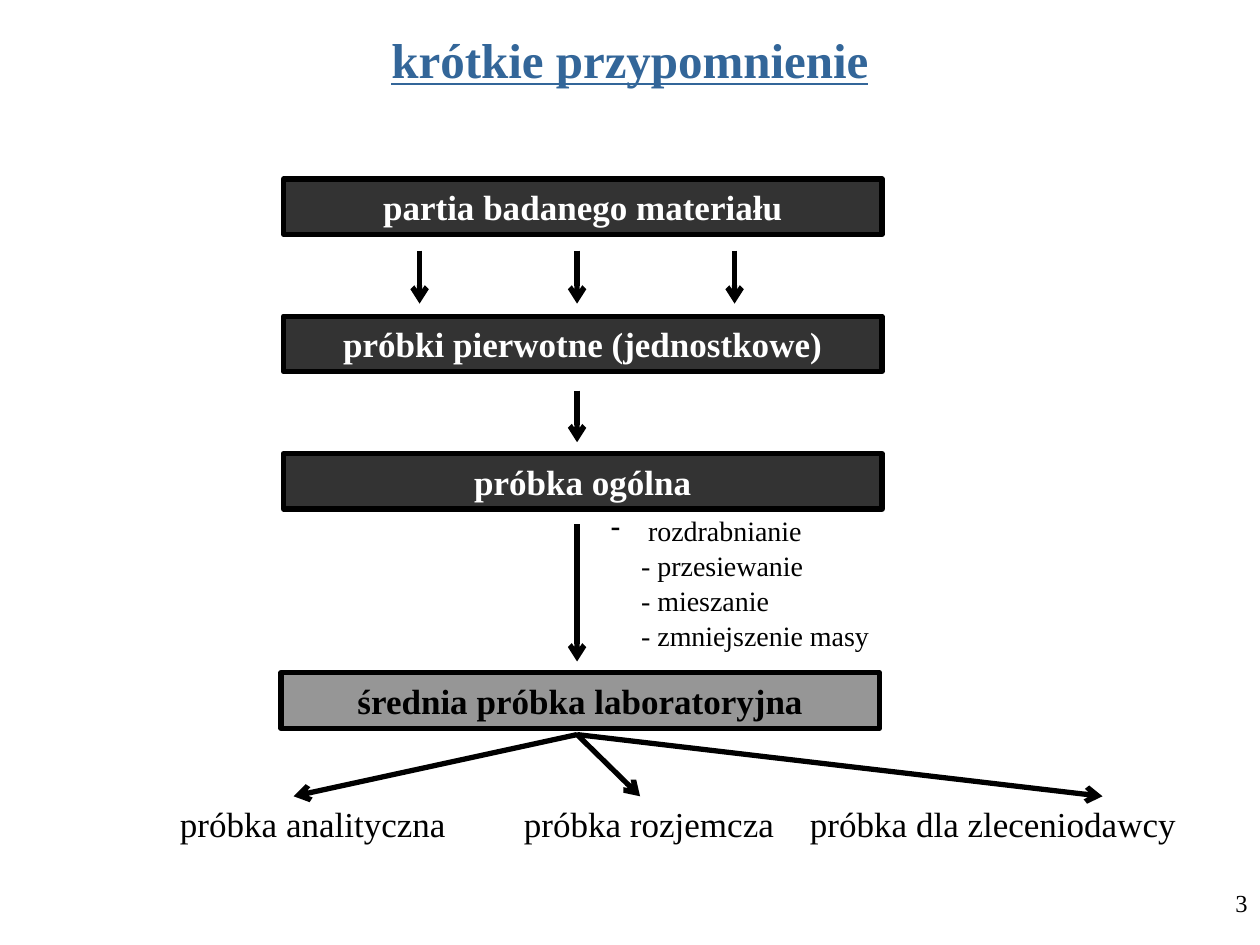
from copy import deepcopy

from pptx import Presentation
from pptx.dml.color import RGBColor
from pptx.enum.shapes import MSO_CONNECTOR, MSO_SHAPE
from pptx.enum.text import MSO_ANCHOR, PP_ALIGN
from pptx.oxml.ns import qn
from pptx.util import Inches, Pt
from lxml import etree

RECT = MSO_SHAPE.RECTANGLE
STRAIGHT = MSO_CONNECTOR.STRAIGHT
TOP, MIDDLE = MSO_ANCHOR.TOP, MSO_ANCHOR.MIDDLE
LEFT, CENTER, RIGHT = PP_ALIGN.LEFT, PP_ALIGN.CENTER, PP_ALIGN.RIGHT

COLORS = {"title": "336699", "dark": "333333", "gray": "969696",
          "black": "000000", "white": "FFFFFF"}


def rgb(name):
    return RGBColor.from_string(COLORS[name])


class Diagram:
    """Holds the style and the current slide."""
    font_name = "Times New Roman"
    line_width = Pt(3)

    def __init__(self, slide):
        self.slide = slide

    def fill_text(self, s, text, size, color="black", align=LEFT, anchor=TOP, **font):
        tf = s.text_frame
        tf.word_wrap = True
        tf.vertical_anchor = anchor
        p = tf.paragraphs[0]
        p.text = text
        p.alignment = align
        values = {"name": self.font_name, "size": Pt(size), **font}
        for r in p.runs:
            for key, value in values.items():
                setattr(r.font, key, value)
            r.font.color.rgb = rgb(color)
        # Line breaks take the format of the text around them
        for br in p._p.findall(qn("a:br")):
            br.append(deepcopy(p.runs[0]._r.rPr))
        return p

    def text(self, box, text, size, **style):
        s = self.slide.shapes.add_textbox(*map(Inches, box))
        return self.fill_text(s, text, size, **style)

    def stage(self, left, top, text, fill, color):
        s = self.slide.shapes.add_shape(
            RECT, *map(Inches, (left, top, 4.75, 0.44)))
        s.shadow.inherit = False
        s.fill.solid()
        s.fill.fore_color.rgb = rgb(fill)
        s.line.color.rgb = rgb("black")
        s.line.width = self.line_width
        self.fill_text(s, text, 20, color=color, align=CENTER, anchor=MIDDLE,
                       bold=True)

    def arrow(self, x1, y1, x2, y2):
        s = self.slide.shapes.add_connector(
            STRAIGHT, *map(Inches, (x1, y1, x2, y2)))
        s.line.color.rgb = rgb("black")
        s.line.width = self.line_width
        spPr = s._element.spPr
        etree.SubElement(spPr.find(qn("a:ln")), qn("a:tailEnd"), type="arrow")
        etree.SubElement(spPr, qn("a:effectLst"))

    def steps(self, box, lines, size):
        p = self.text(box, "\v".join(lines), size)
        p.line_spacing = 1.04
        pPr = p._p.get_or_add_pPr()
        indent = Inches(0.24)
        pPr.set("marL", str(indent))
        pPr.set("indent", str(-indent))
        etree.SubElement(pPr, qn("a:buChar"), char="-")

    def columns(self, box, labels, stops, size):
        p = self.text(box, "\t".join(labels), size)
        tabs = etree.SubElement(p._p.get_or_add_pPr(), qn("a:tabLst"))
        for stop in stops:
            etree.SubElement(tabs, qn("a:tab"), pos=str(Inches(stop)), algn="l")


def main():
    prs = Presentation()
    prs.slide_width, prs.slide_height = Inches(10), Inches(7.5)
    d = Diagram(prs.slides.add_slide(prs.slide_layouts[6]))

    # Title and page number
    d.text((0.75, 0.1, 8.5, 0.74), "krótkie przypomnienie", 28, color="title",
           align=CENTER, anchor=MIDDLE, bold=True, underline=True)
    d.text((7.92, 7, 2.08, 0.5), "3", 14, align=RIGHT)

    # Sampling stages
    names = ["partia badanego materiału", "próbki pierwotne (jednostkowe)",
             "próbka ogólna"]
    for i, name in enumerate(names):
        d.stage(2.25, 1.42 + 1.09 * i, name, "dark", "white")
    d.stage(2.23, 5.34, "średnia próbka laboratoryjna", "gray", "black")

    # Arrows between stages
    axis = 4.58
    for dx in (-1.25, 0, 1.25):
        d.arrow(axis + dx, 1.99, axis + dx, 2.41)
    d.arrow(axis, 3.1, axis, 3.51)
    d.arrow(axis, 4.16, axis, 5.25)

    # Preparation steps
    d.steps((4.75, 4.02, 3, 1.17),
            [" rozdrabnianie", "- przesiewanie", "- mieszanie",
             "- zmniejszenie masy"], 16)

    # Final samples
    d.columns((1.33, 6.32, 8.25, 0.44),
              ["próbka analityczna", "próbka rozjemcza",
               "próbka dla zleceniodawcy"], [2.73, 5], 20)
    for x in (5.08, 2.33, 8.75):
        d.arrow(axis, 5.83, x, 6.32)

    prs.save("out.pptx")


if __name__ == "__main__":
    main()
